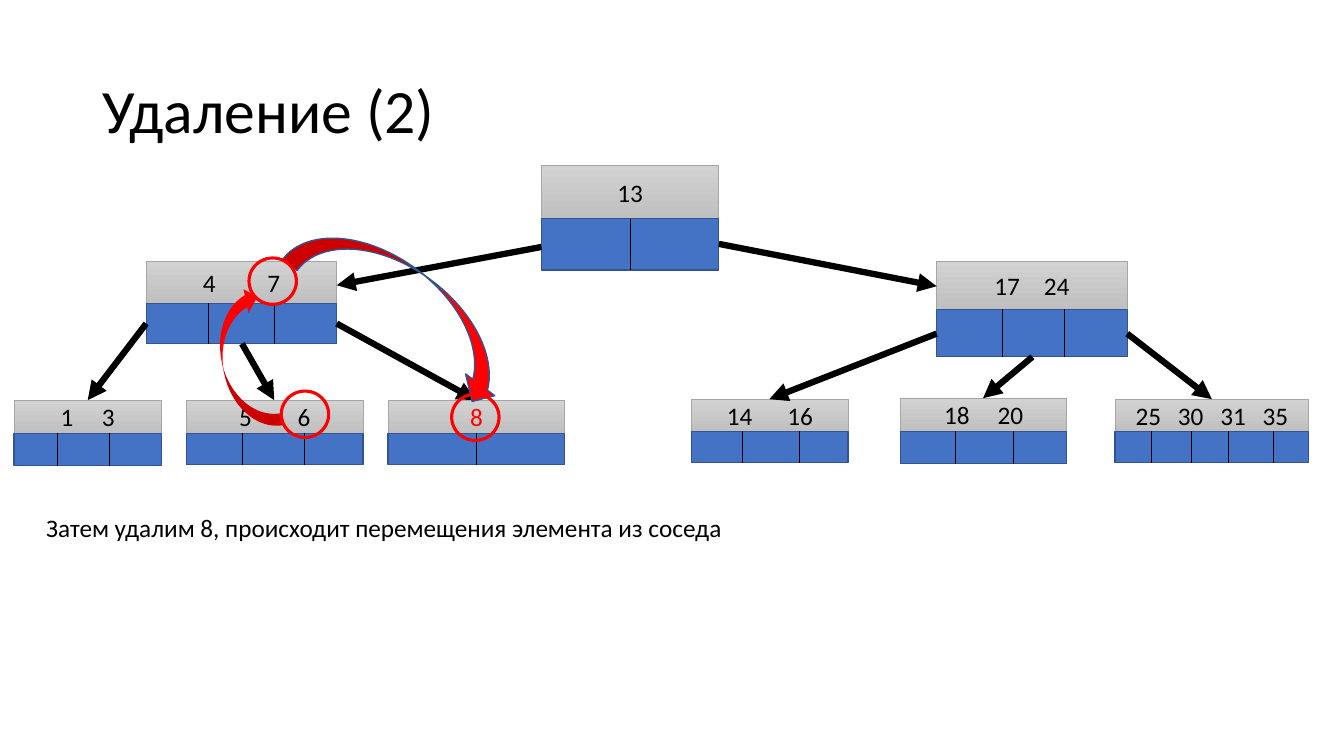
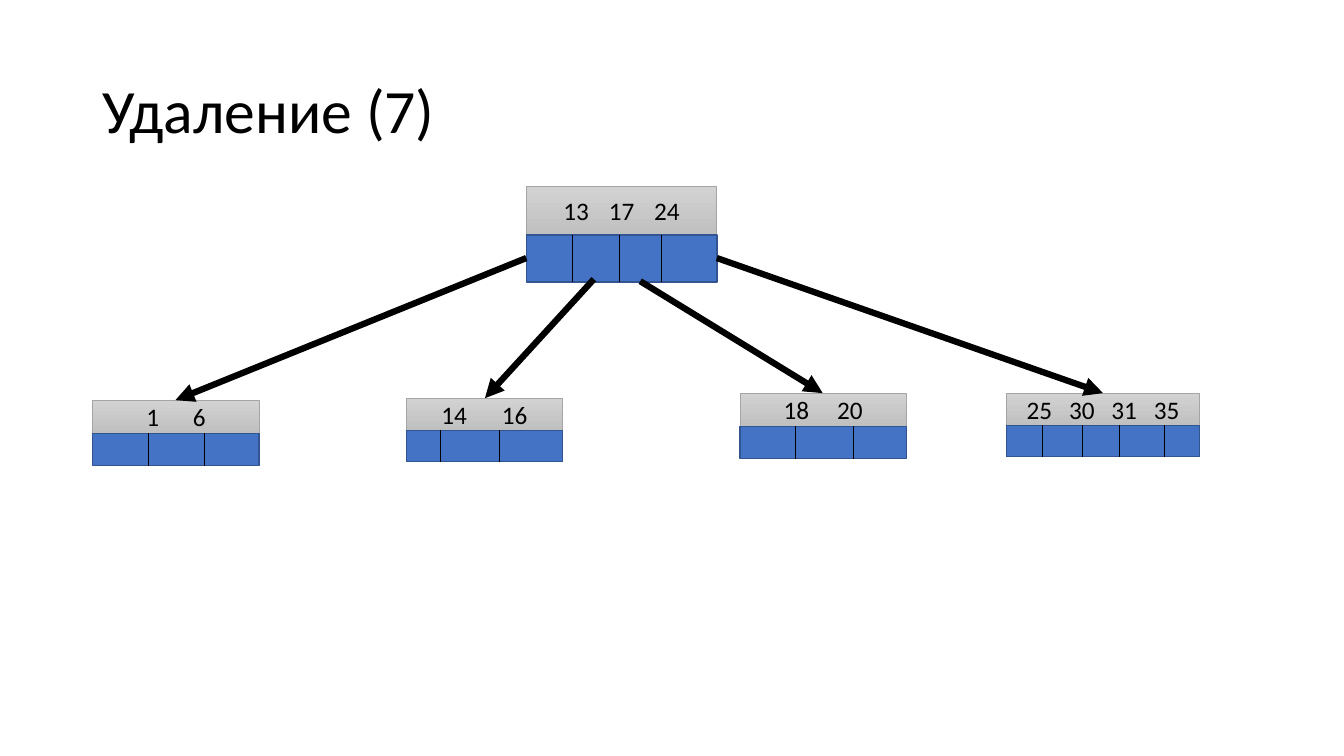
"""Build two slides on deletion from a B-tree."""
from pptx import Presentation
from pptx import util as u
from pptx.dml.color import RGBColor
from pptx.enum import shapes, text
from pptx.oxml.ns import qn
from lxml import etree

Inches = u.Inches
THEME = {
    "font": "Calibri",
    "title_size": 44,
    "body_size": 18,
    "ink": "000000",
    "accent": "FF0000",
    "key_fill": ("D2D2D2", "C0C0C0"),
    "key_line": ("A5A5A5", 0.5),
    "pointer_fill": "4472C4",
    "pointer_line": ("325491", 1),
    "divider": 0.5,
    "arrow": 4.5,
    "ring": ("FF0000", 2.25),
}
RECTANGLE = shapes.MSO_SHAPE.RECTANGLE
TITLE_PLACE = (0.92, 0.4, 11.5, 1.45)
CAPTION_PLACE = (0.36, 5.03, 6.98, 0.4)

# fields
NODE_FIELDS = ("keys", "width", "key_height", "pointer_height", "pitch", "dividers")
NODE_18_20 = ("18 20", 1.65, 0.33, 0.32, 0.53, (0.55, 1.12))
NODE_25_35 = ("25 30 31 35", 1.92, 0.32, 0.31, 0.42, (0.36, 0.76, 1.12, 1.57))

SLIDES = [
    {
        "title": "Удаление (2)",
        "caption": "Затем удалим 8, происходит перемещения элемента из соседа",
        "nodes": [
            (5.37, 1.64, ("13", 1.76, 0.53, 0.51, 0, (0.88,))),
            (1.45, 2.59, ("4 7", 1.89, 0.42, 0.4, 0.64, (0.62, 1.27))),
            (9.29, 2.59, ("17 24", 1.89, 0.48, 0.47, 0.49, (0.65, 1.27))),
            (0.14, 3.97, ("1 3", 1.46, 0.33, 0.32, 0.41, (0.43, 0.94))),
            (1.85, 3.97, ("5 6", 1.75, 0.33, 0.31, 0.58, (0.55, 1.17))),
            (3.85, 3.97, ("8", 1.75, 0.33, 0.31, 0, (0.87,))),
            (6.86, 3.96, ("14 16", 1.55, 0.32, 0.31, 0.6, (0.5, 1.07))),
            (8.93, 3.95, NODE_18_20),
            (11.06, 3.96, NODE_25_35),
        ],
        "removed": "8",
        "arrows": [
            (5.37, 2.45, 3.34, 2.83), (7.13, 2.42, 9.29, 2.84),
            (1.45, 3.21, 0.87, 3.97), (2.4, 3.41, 2.72, 3.97),
            (3.34, 3.21, 4.72, 3.97), (9.29, 3.31, 7.63, 3.96),
            (10.24, 3.54, 9.75, 3.95), (11.18, 3.31, 12.02, 3.96),
        ],
        "moves": [
            ((2.2, 2.86, 0.48, 1.42), 168.1, None),
            ((3.67, 1.78, 0.72, 2.53), 306.8, THEME["pointer_line"]),
        ],
        "rings": [(2.47, 2.56), (2.79, 3.88), (4.48, 3.91)],
    },
    {
        "title": "Удаление (7)",
        "caption": None,
        "nodes": [
            (5.22, 1.85, ("13 17 24", 1.89, 0.48, 0.47, 0.45, (0.46, 0.92, 1.34))),
            (0.92, 3.97, ("1 6", 1.65, 0.33, 0.32, 0.46, (0.55, 1.11))),
            (4.03, 3.95, ("14 16", 1.55, 0.32, 0.31, 0.6, (0.34, 0.92))),
            (7.34, 3.9, NODE_18_20),
            (9.98, 3.9, NODE_25_35),
        ],
        "removed": None,
        "arrows": [
            (5.22, 2.56, 1.74, 3.97), (5.89, 2.77, 4.81, 3.95),
            (6.35, 2.79, 8.16, 3.9), (7.11, 2.56, 10.94, 3.9),
        ],
        "moves": [],
        "rings": [],
    },
]


def add_shape(slide, kind, place, fill, line, rotation=0):
    shape = slide.shapes.add_shape(kind, *map(Inches, place))
    shape.shadow.inherit = False
    shape.rotation = rotation
    if fill is None:
        shape.fill.background()
    elif isinstance(fill, tuple):
        shape.fill.gradient()
        shape.fill.gradient_angle = 270
        for stop, color in zip(shape.fill.gradient_stops, fill):
            stop.color.rgb = RGBColor.from_string(color)
    else:
        shape.fill.solid()
        shape.fill.fore_color.rgb = RGBColor.from_string(fill)
    if line is None:
        shape.line.fill.background()
    else:
        shape.line.color.rgb = RGBColor.from_string(line[0])
        shape.line.width = u.Pt(line[1])
    return shape


def add_line(slide, ends, width, arrow=False):
    connector = slide.shapes.add_connector(shapes.MSO_CONNECTOR.STRAIGHT, *map(Inches, ends))
    connector.line.color.rgb = RGBColor.from_string(THEME["ink"])
    connector.line.width = u.Pt(width)
    properties = connector._element.spPr
    if arrow:
        etree.SubElement(properties.find(qn("a:ln")), qn("a:tailEnd"), type="triangle")
    etree.SubElement(properties, qn("a:effectLst"))


presentation = Presentation()
presentation.slide_width, presentation.slide_height = Inches(13.33), Inches(7.5)

for content in SLIDES:
    slide = presentation.slides.add_slide(presentation.slide_layouts[6])
    labels = []
    title = slide.shapes.add_textbox(*map(Inches, TITLE_PLACE))
    title.text_frame.word_wrap = True
    title.text_frame.vertical_anchor = text.MSO_ANCHOR.MIDDLE
    title.text_frame.paragraphs[0].line_spacing = 0.9
    labels.append((title, content["title"], "title_size", "ink"))

    for left, top, values in content["nodes"]:
        node = dict(zip(NODE_FIELDS, values))
        width, pitch = node["width"], node["pitch"]
        middle = top + node["key_height"]
        bottom = middle + node["pointer_height"]
        key_box = add_shape(slide, RECTANGLE, (left, top, width, node["key_height"]),
                            THEME["key_fill"], THEME["key_line"])
        add_shape(slide, RECTANGLE, (left, middle, width, node["pointer_height"]),
                  THEME["pointer_fill"], THEME["pointer_line"])
        for offset in node["dividers"]:
            add_line(slide, (left + offset, middle, left + offset, bottom), THEME["divider"])

        frame_format = {"margin_left": 0, "margin_right": 0, "word_wrap": True,
                        "vertical_anchor": text.MSO_ANCHOR.MIDDLE}
        for name, value in frame_format.items():
            setattr(key_box.text_frame, name, value)
        keys = node["keys"].split()
        paragraph = key_box.text_frame.paragraphs[0]
        paragraph.alignment = text.PP_ALIGN.LEFT
        tabs = etree.SubElement(paragraph._p.get_or_add_pPr(), qn("a:tabLst"))
        for index in range(len(keys)):
            position = width / 2 + (index - (len(keys) - 1) / 2) * pitch
            etree.SubElement(tabs, qn("a:tab"), pos=str(Inches(position)), algn="ctr")
        color = "accent" if node["keys"] == content["removed"] else "ink"
        labels.append((key_box, "".join("\t" + key for key in keys), "body_size", color))

    for ends in content["arrows"]:
        add_line(slide, ends, THEME["arrow"], arrow=True)
    if content["caption"]:
        caption = slide.shapes.add_textbox(*map(Inches, CAPTION_PLACE))
        caption.text_frame.word_wrap = False
        labels.append((caption, content["caption"], "body_size", "ink"))
    for place, rotation, line in content["moves"]:
        add_shape(slide, shapes.MSO_SHAPE.CURVED_LEFT_ARROW, place, THEME["accent"], line, rotation)
    for left, top in content["rings"]:
        add_shape(slide, shapes.MSO_SHAPE.OVAL, (left, top, 0.47, 0.46), None, THEME["ring"])

    for shape, wording, size, color in labels:
        run = shape.text_frame.paragraphs[0].add_run()
        run.text = wording
        for name, value in {"name": THEME["font"], "size": u.Pt(THEME[size])}.items():
            setattr(run.font, name, value)
        run.font.color.rgb = RGBColor.from_string(THEME[color])

presentation.save("out.pptx")
